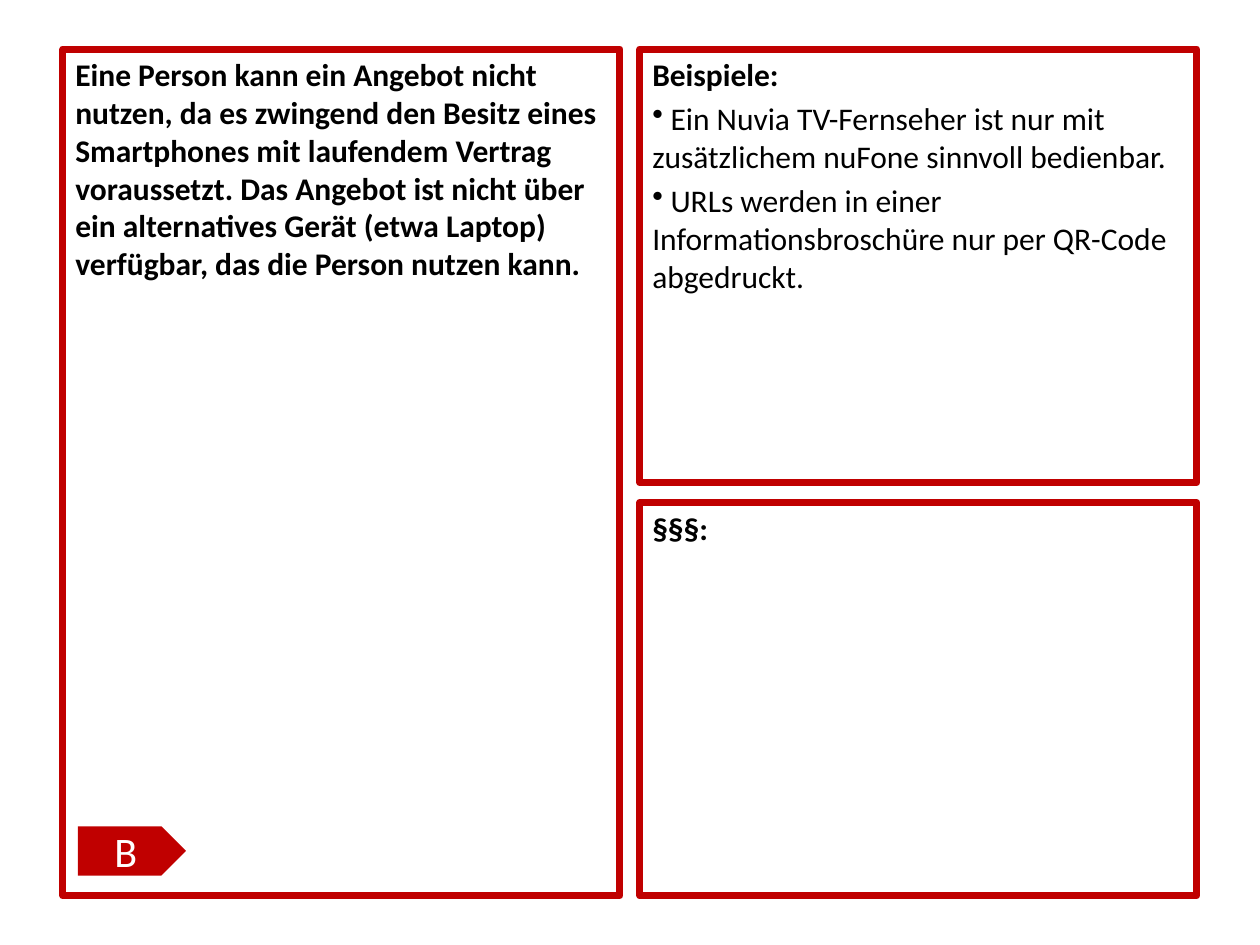
from lxml.etree import SubElement
from pptx import Presentation
from pptx.dml.color import RGBColor
from pptx.enum.shapes import MSO_SHAPE
from pptx.enum.text import MSO_ANCHOR, PP_ALIGN
from pptx.oxml.ns import qn
from pptx.util import Cm, Pt

RED = RGBColor(0xC0, 0x00, 0x00)
BLACK = RGBColor(0x00, 0x00, 0x00)
WHITE = RGBColor(0xFF, 0xFF, 0xFF)

# Layout in centimetres
LEFT, TOP, GAP = 1.27, 0.99, 0.4
BOX_WIDTH, FULL_HEIGHT, EXAMPLES_HEIGHT = 11.23, 17.07, 8.74
RIGHT = LEFT + BOX_WIDTH + GAP
LAW_TOP = TOP + EXAMPLES_HEIGHT + GAP
LAW_HEIGHT = FULL_HEIGHT - EXAMPLES_HEIGHT - GAP


class Card:
    """Holds the style and the current slide."""

    font_name = "Calibri"
    body_size = Pt(18)
    label_size = Pt(24)
    border_width = Pt(4)

    def __init__(self, page):
        self.page = page

    def shape(self, kind, left, top, width, height):
        shape = self.page.shapes.add_shape(
            kind, Cm(left), Cm(top), Cm(width), Cm(height))
        shape.shadow.inherit = False
        shape.text_frame.word_wrap = True
        return shape

    def fill_para(self, para, text, color, para_format, font_format):
        for name, value in para_format.items():
            setattr(para, name, value)
        span = para.add_run()
        span.text = text
        for name, value in {"name": self.font_name, **font_format}.items():
            setattr(span.font, name, value)
        span.font.color.rgb = color

    def text_box(self, left, top, width, height, heading, bullets=()):
        box = self.shape(MSO_SHAPE.RECTANGLE, left, top, width, height)
        box.fill.background()
        box.line.color.rgb = RED
        box.line.width = self.border_width
        SubElement(box.element.spPr.find(qn("a:ln")), qn("a:round"))
        frame = box.text_frame
        frame.vertical_anchor = MSO_ANCHOR.TOP
        para_format = {"alignment": PP_ALIGN.LEFT, "space_before": Pt(3.6)}
        self.fill_para(frame.paragraphs[0], heading, BLACK, para_format,
                       {"size": self.body_size, "bold": True})
        for text in bullets:
            para = frame.add_paragraph()
            self.fill_para(para, text, BLACK, para_format,
                           {"size": self.body_size, "bold": False})
            SubElement(para._p.get_or_add_pPr(), qn("a:buChar"), char="•")

    def label(self, left, top, width, height, text):
        arrow = self.shape(MSO_SHAPE.PENTAGON, left, top, width, height)
        arrow.fill.solid()
        arrow.fill.fore_color.rgb = RED
        arrow.line.fill.background()
        arrow.text_frame.vertical_anchor = MSO_ANCHOR.MIDDLE
        self.fill_para(arrow.text_frame.paragraphs[0], text, WHITE,
                       {"alignment": PP_ALIGN.CENTER},
                       {"size": self.label_size})


def main():
    deck = Presentation()
    deck.slide_width, deck.slide_height = Cm(25.4), Cm(19.05)
    card = Card(deck.slides.add_slide(deck.slide_layouts[6]))

    # Problem description
    card.text_box(
        LEFT, TOP, BOX_WIDTH, FULL_HEIGHT,
        "Eine Person kann ein Angebot nicht nutzen, da es zwingend den Besitz "
        "eines Smartphones mit laufendem Vertrag voraussetzt. Das Angebot ist "
        "nicht über ein alternatives Gerät (etwa Laptop) verfügbar, das die "
        "Person nutzen kann.")

    # Legal references
    card.text_box(RIGHT, LAW_TOP, BOX_WIDTH, LAW_HEIGHT, "§§§:")

    # Examples
    card.text_box(
        RIGHT, TOP, BOX_WIDTH, EXAMPLES_HEIGHT, "Beispiele:",
        [" Ein Nuvia TV-Fernseher ist nur mit zusätzlichem nuFone sinnvoll "
         "bedienbar.",
         " URLs werden in einer Informationsbroschüre nur per QR-Code "
         "abgedruckt."])

    # Category label
    card.label(1.57, 16.66, 2.18, 0.99, "B")

    deck.save("out.pptx")


if __name__ == "__main__":
    main()
